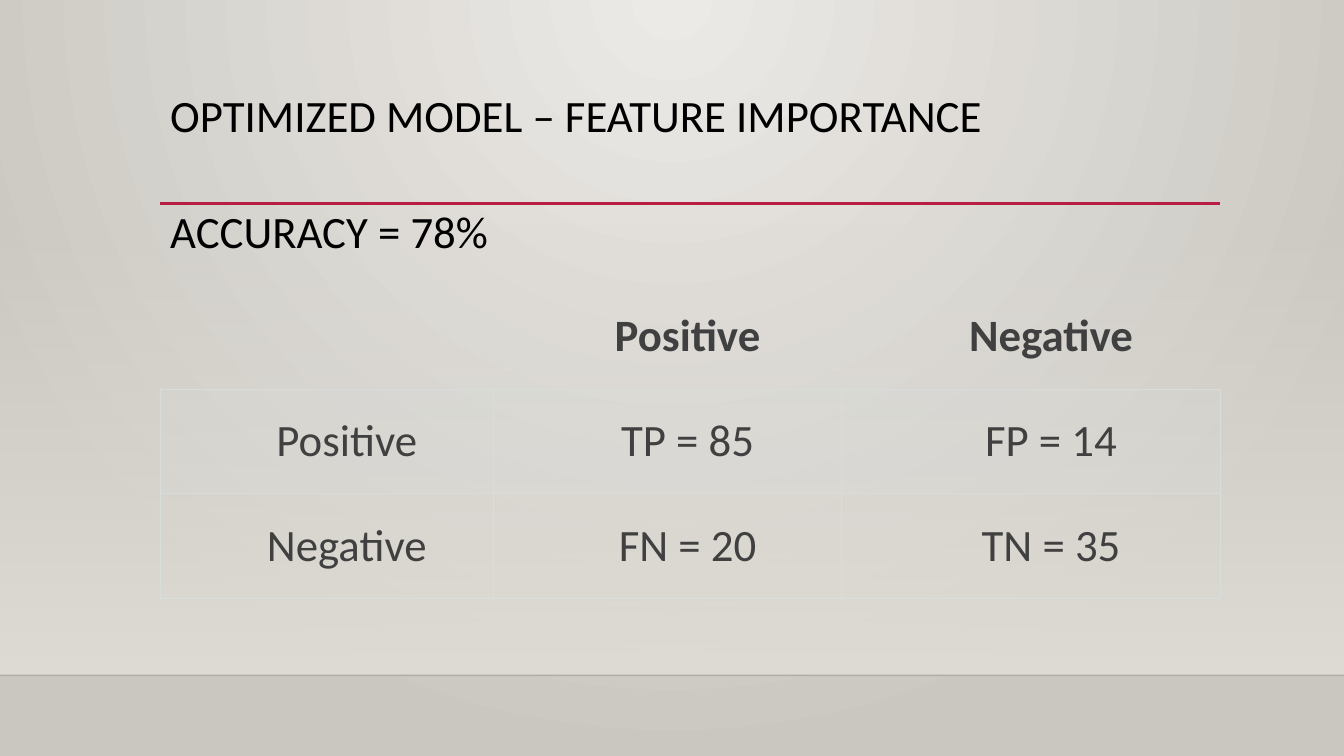
"""Build a slide with the confusion matrix of the optimized model."""
from lxml import etree
from pptx import Presentation
from pptx.dml.color import RGBColor
from pptx.enum.shapes import MSO_CONNECTOR, MSO_SHAPE
from pptx.enum.text import MSO_ANCHOR, PP_ALIGN
from pptx.oxml.ns import qn
from pptx.util import Inches, Pt

STRAIGHT, RECTANGLE = MSO_CONNECTOR.STRAIGHT, MSO_SHAPE.RECTANGLE
MIDDLE, CENTER = MSO_ANCHOR.MIDDLE, PP_ALIGN.CENTER
BACK_LIGHT = RGBColor(0xEC, 0xEA, 0xE7)
BACK_DARK = RGBColor(0xCA, 0xC7, 0xC1)
WALL = RGBColor(0xDF, 0xDB, 0xD5)
FLOOR_EDGE = RGBColor(0x00, 0x00, 0x01)
RED = RGBColor(0xB7, 0x1E, 0x42)
BLACK = RGBColor(0x00, 0x00, 0x00)
GRAY = RGBColor(0x40, 0x40, 0x40)
BAND = RGBColor(0xD8, 0xDE, 0xDC)
BORDER = RGBColor(0xD8, 0xDC, 0xDC)
FONT, SIZE = "Calibri", Pt(32)


def set_opacity(element, percent):
    color = next(element.iter(qn("a:srgbClr")))
    etree.SubElement(color, qn("a:alpha"), val=str(percent * 1000))


def set_border(cell, side, color):
    line = etree.SubElement(cell._tc.get_or_add_tcPr(), qn("a:ln" + side), w=str(Pt(0.75)))
    if color is None:
        etree.SubElement(line, qn("a:noFill"))
    else:
        fill = etree.SubElement(line, qn("a:solidFill"))
        etree.SubElement(fill, qn("a:srgbClr"), val=str(color))


prs = Presentation()
prs.slide_width, prs.slide_height = Inches(13.33), Inches(7.5)
s = prs.slides.add_slide(prs.slide_layouts[6])

back = s.background.fill
back.gradient()
for stop, color in zip(back.gradient_stops, (BACK_LIGHT, BACK_DARK)):
    stop.color.rgb = color
grad = next(s.element.iter(qn("a:gradFill")))
grad.remove(grad.find(qn("a:lin")))
circle = etree.SubElement(grad, qn("a:path"), path="circle")
etree.SubElement(circle, qn("a:fillToRect"), l="43000", t="0", r="43000", b="100000")

wall = s.shapes.add_shape(RECTANGLE, 0, Inches(2.21), Inches(13.33), Inches(4.49))
wall.shadow.inherit = False
wall.line.fill.background()
wall.fill.gradient()
wall.fill.gradient_angle = 270
for stop in wall.fill.gradient_stops:
    stop.color.rgb = WALL
set_opacity(wall._element.spPr, 0)

for left, right, y, color, width, opacity in (
    (0, 13.33, 6.7, FLOOR_EDGE, 1, 20),
    (1.59, 12.1, 2.02, RED, 2.5, 100),
):
    rule = s.shapes.add_connector(STRAIGHT, Inches(left), Inches(y), Inches(right), Inches(y))
    rule.line.color.rgb = color
    rule.line.width = Pt(width)
    set_opacity(rule._element.spPr, opacity)
    etree.SubElement(rule._element.spPr, qn("a:effectLst"))

for text, top, height in (
    ("OPTIMIZED MODEL – FEATURE IMPORTANCE", 0.88, 1.15),
    ("ACCURACY = 78%", 2.03, 0.72),
):
    box = s.shapes.add_textbox(Inches(1.59), Inches(top), Inches(10.5), Inches(height))
    tf = box.text_frame
    tf.word_wrap = True
    p = tf.paragraphs[0]
    p.text = text
    p.line_spacing = 0.9
    p.font.name, p.font.size, p.font.color.rgb = FONT, SIZE, BLACK

MATRIX = (
    ("", "Positive", "Negative"),
    ("Positive", "TP = 85", "FP = 14"),
    ("Negative", "FN = 20", "TN = 35"),
)
table = s.shapes.add_table(3, 3, Inches(1.59), Inches(2.82), Inches(10.5), Inches(3.11)).table
table.horz_banding = False
for column, width in zip(table.columns, (3.3, 3.46, 3.75)):
    column.width = Inches(width)
for i, row in enumerate(MATRIX):
    table.rows[i].height = Inches(1.04)
    for j, text in enumerate(row):
        cell = table.cell(i, j)
        cell.vertical_anchor = MIDDLE
        cell.margin_left, cell.margin_right = Inches(0.42), Inches(0.02)
        cell.margin_top = cell.margin_bottom = Inches(0.21)
        for side in "LRTB":
            color = BAND if i == 2 and side != "T" else BORDER
            set_border(cell, side, None if i == 0 and side != "B" else color)
        if i == 1:
            cell.fill.solid()
            cell.fill.fore_color.rgb = BAND
            set_opacity(cell._tc.tcPr.find(qn("a:solidFill")), 20)
        else:
            cell.fill.background()
        p = cell.text_frame.paragraphs[0]
        p.text = text
        p.alignment = CENTER
        p.font.name, p.font.size, p.font.color.rgb = FONT, SIZE, GRAY
        p.font.bold = i == 0

prs.save("out.pptx")
